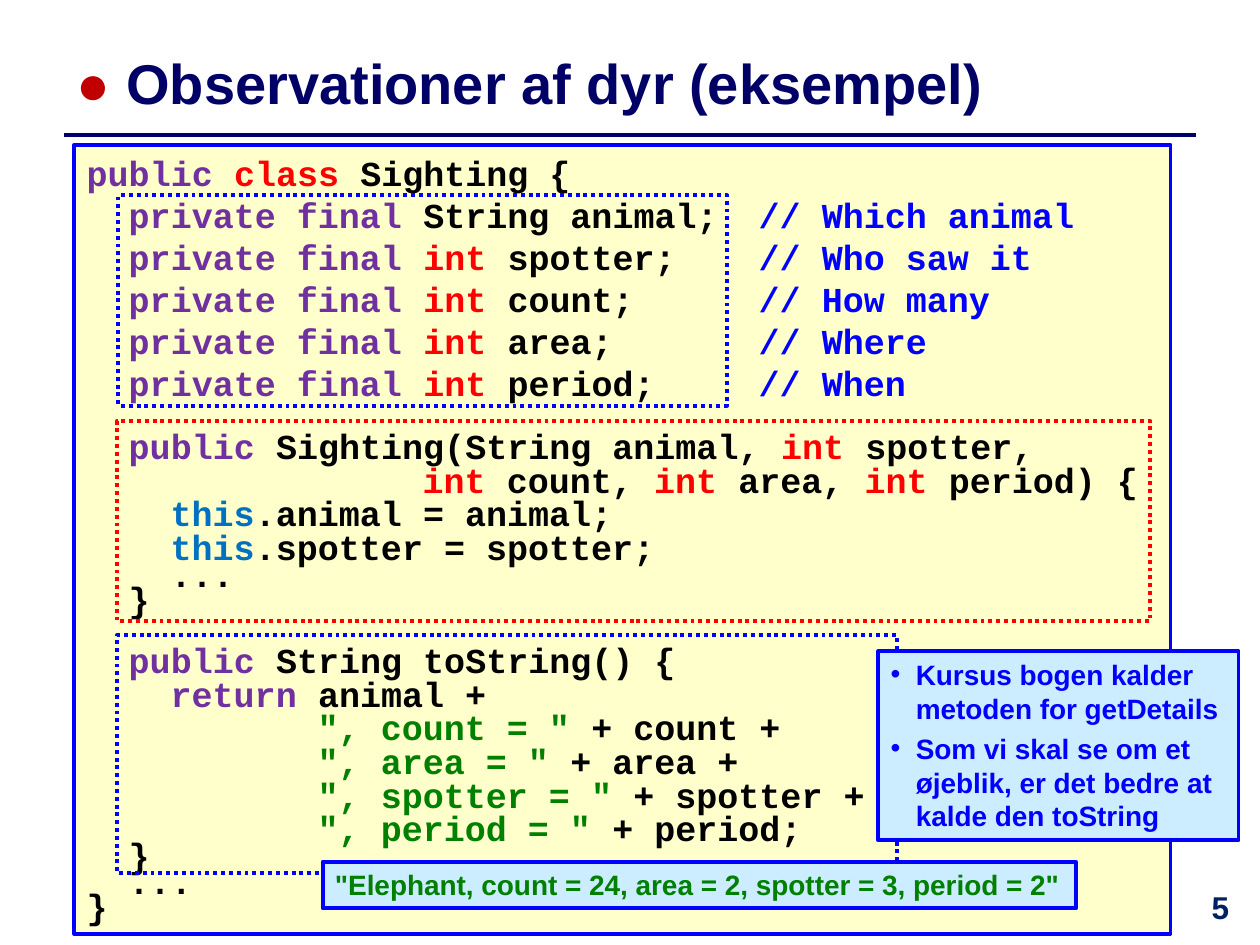
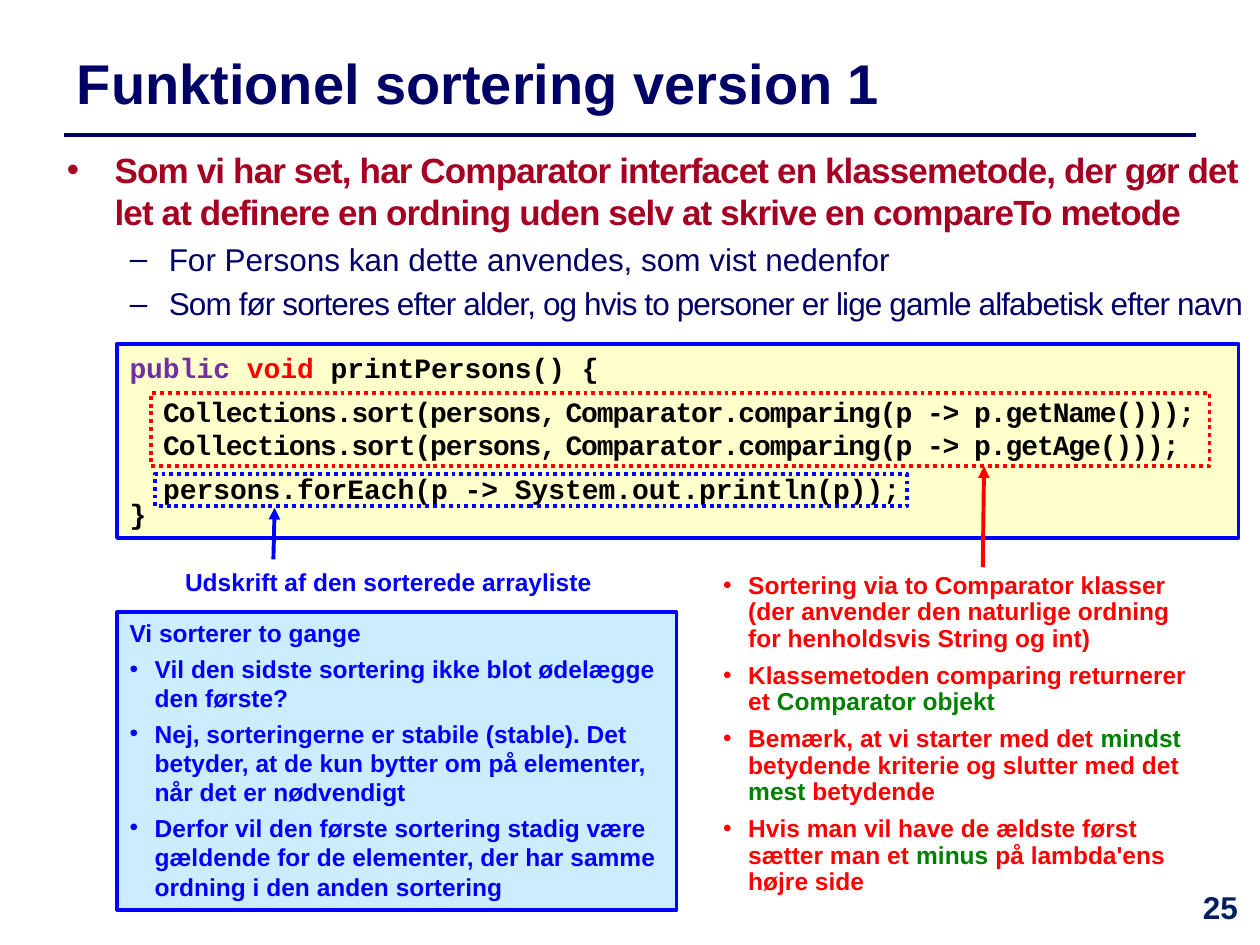
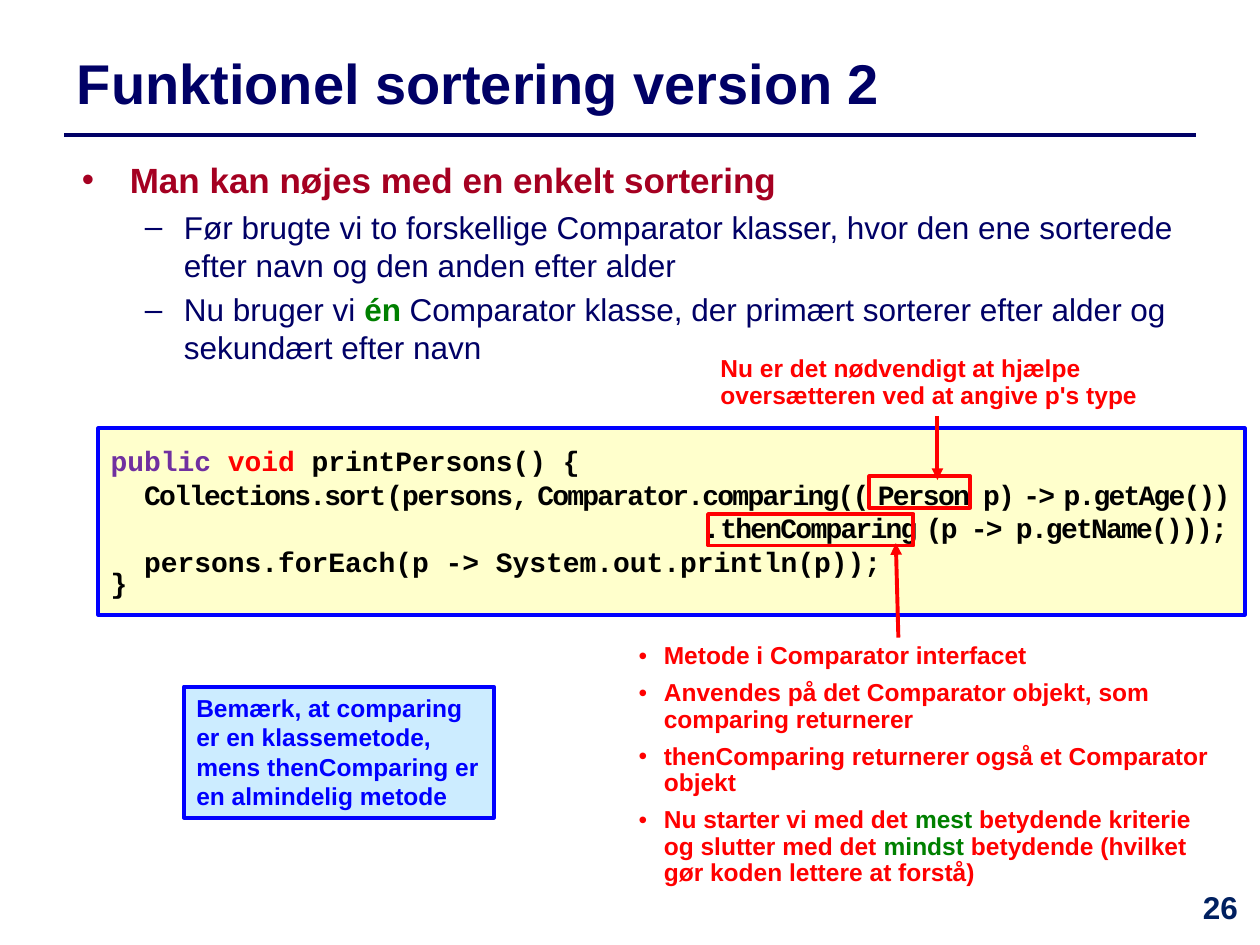
import pptx
import pptx.util
import pptx.dml.color
import pptx.enum.dml
import pptx.enum.shapes
import pptx.enum.text
import pptx.oxml
import pptx.oxml.ns

# Shared look. Places are (left, top, width, height) on a grid of 10 columns by 7.5 rows.
COLUMNS, ROWS = 10, 7.5
WIDTH, HEIGHT = pptx.util.Inches(10), pptx.util.Inches(7.5)
NAVY, BLUE, RED, GREEN = "000066", "0000FF", "FF0000", "008000"
CREAM, PALE, BLACK, CRIMSON, PAGE_BLUE = "FFFFCC", "CCECFF", "000000", "A50021", "002060"
TITLE_PLACE = (0.51, 0.28, 8.98, 0.75)
NUMBER_PLACE = (9.33, 7, 0.71, 0.5)
RULE = ((0.51, 1.07), (9.49, 1.07))
EDGE = 2.25
BULLET_INDENT = 0.2

# Text marked as [name:words] takes the named changes.
MARKS = {
    "violet": {"color": "7030A0"},
    "red": {"color": RED},
    "blue": {"color": BLUE},
    "sky": {"color": "0070C0"},
    "green": {"color": GREEN},
    "dot": {"color": "C00000"},
    "strong": {"color": GREEN, "bold": True},
    "near": {"spacing": -0.5},
    "tight": {"spacing": -0.6},
    "tighter": {"spacing": -1},
    "thin": {"size": 8, "spacing": -0.6},
}

FIELDS = [
    ("String animal;", "Which animal"),
    ("[red:int ]spotter;", "Who saw it"),
    ("[red:int ]count;", "How many"),
    ("[red:int ]area;", "Where"),
    ("[red:int ]period;", "When"),
]
COMMENT_COLUMN = 32

# Code lines: (indent in characters, text, line spacing, space before)
SIGHTING_CODE = [
    (0, "[violet:public ][red:class ]Sighting {", 1, 0),
    *[(2, f"[violet:private final ]{field}\t[blue:// {comment}]", 1, 0)
      for field, comment in FIELDS],
    (2, "[violet:public ]Sighting(String animal, [red:int ]spotter,", 1, 12),
    (16, "[red:int ]count, [red:int ]area, [red:int ]period) {", 0.8, 0),
    (4, "[sky:this].animal = animal;", 0.8, 0),
    (4, "[sky:this].spotter = spotter;", 0.8, 0),
    (4, "...", 0.6, 0),
    (2, "}", 0.6, 0),
    (2, "[violet:public ]String toString() {", 1, 12),
    (4, "[violet:return ]animal +", 0.8, 0),
    *[(11, f'[green:", {name} = "] + {name}{end}', 0.8, 0)
      for name, end in [("count", " +"), ("area", " +"), ("spotter", " +"), ("period", ";")]],
    (2, "}", 0.6, 0),
    (2, "...", 0.6, 0),
    (0, "}", 0.6, 0),
]
PRINT_HEAD = "[violet:public ][red:void ]printPersons() {"
PRINT_EACH = "persons.forEach(p -> System.out.println(p));"
SORT = "[tight:Collections.sort(persons,][thin: ][tight:Comparator.comparing(p -> p.%s()));]"
SORT_TWICE_CODE = [
    (0, PRINT_HEAD, 1, 0),
    (2, SORT % "getName", 1, 6),
    (2, SORT % "getAge", 1, 0),
    (2, PRINT_EACH, 1, 6),
    (0, "}", 0.7, 0),
]
SORT_ONCE_CODE = [
    (0, PRINT_HEAD, 1, 0),
    (2, "[tighter:Collections.sort][tight:(persons,][thin: ][tighter:Comparator.comparing((]"
        "[thin: ][tighter:Person p)][thin: ][tighter:->][thin: ][tighter:p.getAge())]", 1, 0),
    (35.3, "[tight:.][tighter:thenComparing][thin: ][tighter:(p -> p.getName()));]", 1, 0),
    (2, PRINT_EACH, 1, 0),
    (0, "}", 0.6, 0),
]

# Lists for the body: (level, text)
TWICE_BODY = [
    (0, "[near:Som vi har set, har Comparator interfacet en klassemetode, der gør det let at "
        "definere en ordning uden selv at skrive en compareTo metode]"),
    (1, "For Persons kan dette anvendes, som vist nedenfor"),
    (1, "[near:Som før sorteres efter alder, og hvis to personer er lige gamle alfabetisk "
        "efter navn]"),
]
ONCE_BODY = [
    (0, "Man kan nøjes med en enkelt sortering"),
    (1, "Før brugte vi to forskellige Comparator klasser, hvor den ene sorterede efter navn "
        "og den anden efter alder"),
    (1, "Nu bruger vi [strong:én ]Comparator klasse, der primært sorterer efter alder og "
        "sekundært efter navn"),
]

# Notes: a leading "•" makes a bullet
SAMPLE_NOTE = ['"Elephant, count = 24, area = 2, spotter = 3, period = 2"']
NAMING_NOTE = [
    "•Kursus bogen kalder metoden for getDetails",
    "•Som vi skal se om et øjeblik, er det bedre at kalde den toString",
]
STABLE_NOTE = [
    "Vi sorterer to gange",
    "•Vil den sidste sortering ikke blot ødelægge den første?",
    "•Nej, sorteringerne er stabile (stable). Det betyder, at de kun bytter om på elementer, "
    "når det er nødvendigt",
    "•Derfor vil den første sortering stadig være gældende for de elementer, der har samme "
    "ordning i den anden sortering",
]
METHOD_NOTE = ["Bemærk, at comparing er en klassemetode, mens thenComparing er en almindelig "
               "metode"]
OUTPUT_REMARK = ["Udskrift af den sorterede arrayliste"]
TYPE_REMARK = ["Nu er det nødvendigt at hjælpe oversætteren ved at angive p's type"]
TWICE_REMARKS = [
    "•Sortering via to Comparator klasser (der anvender den naturlige ordning for henholdsvis "
    "String og int)",
    "•Klassemetoden comparing returnerer et [green:Comparator objekt]",
    "•Bemærk, at vi starter med det [green:mindst] betydende kriterie og slutter med det "
    "[green:mest ]betydende",
    "•Hvis man vil have de ældste først sætter man et [green:minus] på lambda'ens højre side",
]
ONCE_REMARKS = [
    "•Metode i Comparator interfacet",
    "•Anvendes på det Comparator objekt, som comparing returnerer",
    "•thenComparing returnerer også et Comparator objekt",
    "•Nu starter vi med det [green:mest ]betydende kriterie og slutter med det "
    "[green:mindst ]betydende (hvilket gør koden lettere at forstå)",
]


def rgb(value):
    """Turn a hex string into a colour."""
    return pptx.dml.color.RGBColor.from_string(value)


def across(columns):
    """Length of some grid columns."""
    return round(WIDTH * columns / COLUMNS)


def down(rows):
    """Length of some grid rows."""
    return round(HEIGHT * rows / ROWS)


def spot(place):
    """Turn a grid place into left, top, width and height."""
    left, top, width, height = place
    return across(left), down(top), across(width), down(height)


def add_xml(parent, tag, **attributes):
    """Append a drawing element and return it."""
    child = pptx.oxml.parse_xml(f"<a:{tag} {pptx.oxml.ns.nsdecls('a')}/>")
    for name, value in attributes.items():
        child.set(name, str(value))
    parent.append(child)
    return child


def write(para, text, size, color, bold=True, font="Arial"):
    """Write marked text as formatted runs."""
    for index, piece in enumerate(text.replace("]", "[").split("[")):
        look = {"size": size, "color": color, "bold": bold, "spacing": 0}
        if index % 2:
            mark, _, piece = piece.partition(":")
            look.update(MARKS[mark])
        if not piece:
            continue
        span = para.add_run()
        span.text = piece
        span.font.name = font
        span.font.size = pptx.util.Pt(look["size"])
        span.font.bold = look["bold"]
        span.font.color.rgb = rgb(look["color"])
        if look["spacing"]:
            span._r.get_or_add_rPr().set("spc", str(round(look["spacing"] * 100)))


def space(para, before, lines=1):
    """Set the spacing of a paragraph."""
    para.alignment = pptx.enum.text.PP_ALIGN.LEFT
    para.space_before = pptx.util.Pt(before)
    para.line_spacing = lines


def add_bullet(para, sign, margin, hang):
    """Give a paragraph a hanging bullet."""
    props = para._p.get_or_add_pPr()
    props.set("marL", str(across(margin)))
    props.set("indent", str(-across(hang)))
    add_xml(props, "buFont", typeface="Arial")
    add_xml(props, "buChar", char=sign)


def paragraphs(frame, items):
    """Yield each item with its own paragraph."""
    for index, item in enumerate(items):
        yield (frame.add_paragraph() if index else frame.paragraphs[0]), item


def prepare(frame, anchor=pptx.enum.text.MSO_ANCHOR.TOP):
    """Make a text frame wrap and keep its size."""
    frame.word_wrap = True
    frame.auto_size = pptx.enum.text.MSO_AUTO_SIZE.NONE
    frame.vertical_anchor = anchor
    return frame


def add_frame(page, place, edge, fill=None, dotted=False):
    """Draw a rectangle, filled or open."""
    box = page.shapes.add_shape(pptx.enum.shapes.MSO_SHAPE.RECTANGLE, *spot(place))
    box.shadow.inherit = False
    if fill:
        box.fill.solid()
        box.fill.fore_color.rgb = rgb(fill)
    else:
        box.fill.background()
    box.line.color.rgb = rgb(edge)
    box.line.width = pptx.util.Pt(EDGE)
    if dotted:
        box.line.dash_style = pptx.enum.dml.MSO_LINE.ROUND_DOT
    return box


def add_line(page, start, end, color, width=EDGE, arrow=True):
    """Draw a straight line, with an arrowhead at its end if wanted."""
    line = page.shapes.add_connector(pptx.enum.shapes.MSO_CONNECTOR.STRAIGHT,
                                     across(start[0]), down(start[1]),
                                     across(end[0]), down(end[1]))
    line.line.color.rgb = rgb(color)
    line.line.width = pptx.util.Pt(width)
    if arrow:
        add_xml(line.line._get_or_add_ln(), "tailEnd", type="triangle")
    add_xml(line._element.spPr, "effectLst")


def add_code(page, place, lines, size, inset=0.05):
    """Draw a code box whose indents are tab stops at character columns."""
    frame = prepare(add_frame(page, place, BLUE, CREAM).text_frame)
    frame.margin_top = frame.margin_bottom = down(inset)
    for para, (indent, text, spacing, before) in paragraphs(frame, lines):
        space(para, before, spacing)
        stops = [indent] if indent else []
        if "\t" in text:
            stops.append(COMMENT_COLUMN)
        if stops:
            tabs = add_xml(para._p.get_or_add_pPr(), "tabLst")
            for stop in stops:
                add_xml(tabs, "tab", pos=pptx.util.Pt(stop * size * 0.6), algn="l")
        write(para, ("\t" if indent else "") + text, size, BLACK, font="Courier New")


def fill_notes(frame, notes, size, color, before, lines=1):
    """Write notes, with bullets where they are marked."""
    for para, text in paragraphs(prepare(frame), notes):
        space(para, before, lines)
        if text.startswith("•"):
            add_bullet(para, "•", BULLET_INDENT, BULLET_INDENT)
        write(para, text.lstrip("•"), size, color)


def add_note(page, place, notes, size=14, color=BLUE):
    """Draw a pale blue note box."""
    fill_notes(add_frame(page, place, BLUE, PALE).text_frame, notes, size, color, 0.24 * size)


def add_remark(page, place, notes, color=RED):
    """Write remarks without a box."""
    fill_notes(page.shapes.add_textbox(*spot(place)).text_frame, notes, 14, color, 6, 0.9)


def fill_body(page, place, items):
    """Move the body placeholder and write its two-level list."""
    body = page.placeholders[1]
    body.left, body.top, body.width, body.height = spot(place)
    for para, (level, text) in paragraphs(prepare(body.text_frame), items):
        para.level = level
        space(para, 4 if level else 4.8)
        if level:
            add_bullet(para, "–", 0.81, 0.31)
            write(para, text, 18, NAVY, bold=False)
        else:
            add_bullet(para, "•", 0.38, 0.38)
            write(para, text, 20, CRIMSON)


def add_page(deck, title, number, layout):
    """Add a slide with title, rule and page number."""
    page = deck.slides.add_slide(deck.slide_layouts.get_by_name(layout))
    add_line(page, *RULE, NAVY, 2, arrow=False)
    head = page.shapes.title
    head.left, head.top, head.width, head.height = spot(TITLE_PLACE)
    frame = prepare(head.text_frame, pptx.enum.text.MSO_ANCHOR.MIDDLE)
    space(frame.paragraphs[0], 0)
    write(frame.paragraphs[0], title, 32, NAVY)
    box = page.shapes.add_textbox(*spot(NUMBER_PLACE))
    para = prepare(box.text_frame).paragraphs[0]
    para.alignment = pptx.enum.text.PP_ALIGN.CENTER
    write(para, str(number), 18, PAGE_BLUE)
    return page


def build_sighting(deck):
    """Build the class example."""
    page = add_page(deck, "[dot:● ]Observationer af dyr (eksempel)", 5, "Title Only")
    add_code(page, (0.59, 1.15, 8.7, 6.26), SIGHTING_CODE, 20)
    add_frame(page, (0.94, 1.55, 4.83, 1.67), BLUE, dotted=True)
    add_frame(page, (0.93, 3.34, 8.2, 1.59), RED, dotted=True)
    add_frame(page, (0.93, 5.04, 6.19, 1.89), BLUE, dotted=True)
    add_note(page, (2.56, 6.84, 5.98, 0.37), SAMPLE_NOTE, 16, GREEN)
    add_note(page, (6.97, 5.17, 2.86, 1.5), NAMING_NOTE, 16)


def build_sort_twice(deck):
    """Build the version that sorts two times."""
    page = add_page(deck, "Funktionel sortering version 1", 25, "Title and Content")
    fill_body(page, (0.43, 1.13, 9.57, 1.57), TWICE_BODY)
    add_code(page, (0.93, 2.73, 8.9, 1.54), SORT_TWICE_CODE, 16)
    add_frame(page, (1.23, 3.76, 5.97, 0.26), BLUE, dotted=True)
    add_remark(page, (1.37, 4.48, 3.61, 0.31), OUTPUT_REMARK, BLUE)
    add_line(page, (7.8, 4.5), (7.81, 3.7), RED)
    add_frame(page, (1.2, 3.12, 8.4, 0.58), RED, dotted=True)
    add_remark(page, (5.64, 4.5, 4, 2.98), TWICE_REMARKS)
    add_line(page, (2.17, 4.44), (2.18, 4.03), BLUE)
    add_note(page, (0.93, 4.86, 4.44, 2.36), STABLE_NOTE)


def build_sort_once(deck):
    """Build the version that sorts one time."""
    page = add_page(deck, "Funktionel sortering version 2", 26, "Title and Content")
    fill_body(page, (0.55, 1.21, 9.33, 1.67), ONCE_BODY)
    add_code(page, (0.78, 3.4, 9.1, 1.48), SORT_ONCE_CODE, 16, inset=0.12)
    add_line(page, (7.13, 5.06), (7.11, 4.31), RED)
    add_remark(page, (4.97, 5.06, 4.72, 2.35), ONCE_REMARKS)
    add_frame(page, (5.62, 4.08, 1.63, 0.25), RED)
    add_frame(page, (6.9, 3.78, 0.8, 0.25), RED)
    add_line(page, (7.44, 3.3), (7.44, 3.81), RED)
    add_remark(page, (5.62, 2.78, 3.64, 0.53), TYPE_REMARK)
    add_note(page, (1.46, 5.45, 2.46, 1.04), METHOD_NOTE)


deck = pptx.Presentation()
deck.slide_width, deck.slide_height = WIDTH, HEIGHT
for build in (build_sighting, build_sort_twice, build_sort_once):
    build(deck)
deck.save("out.pptx")
